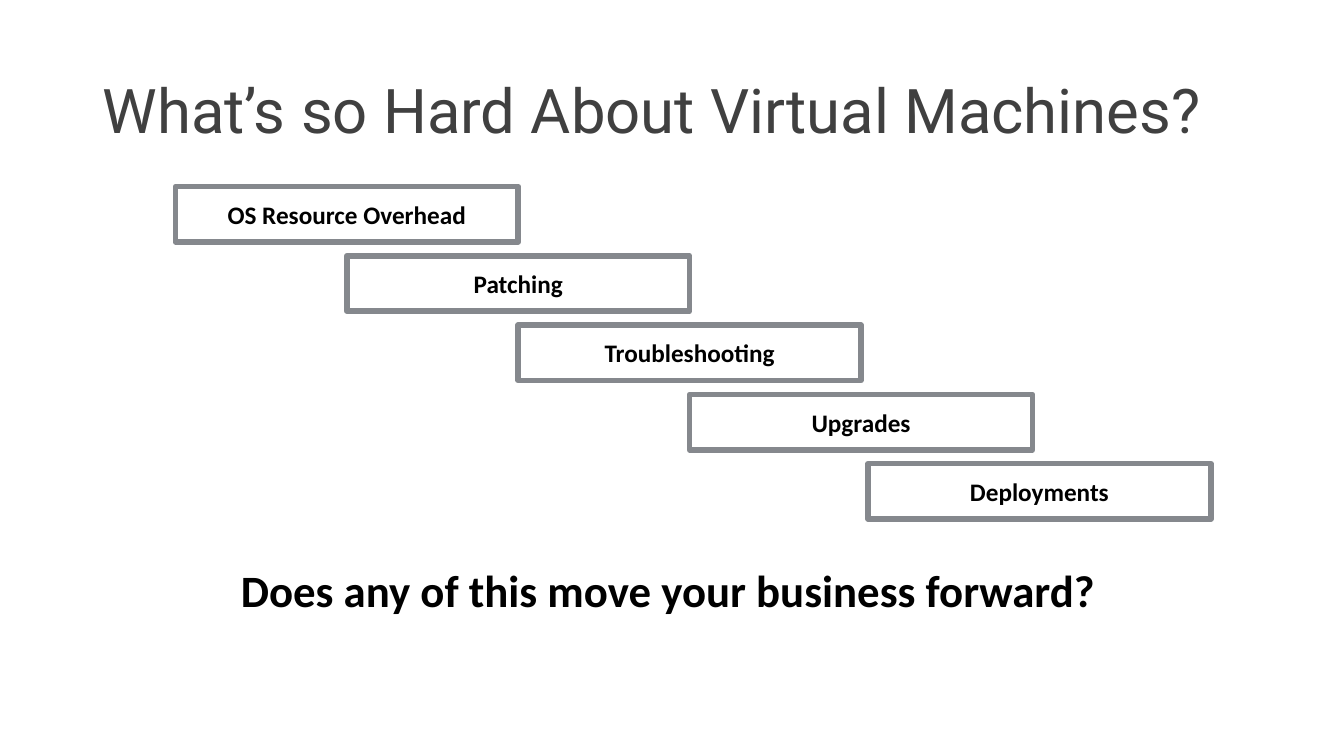
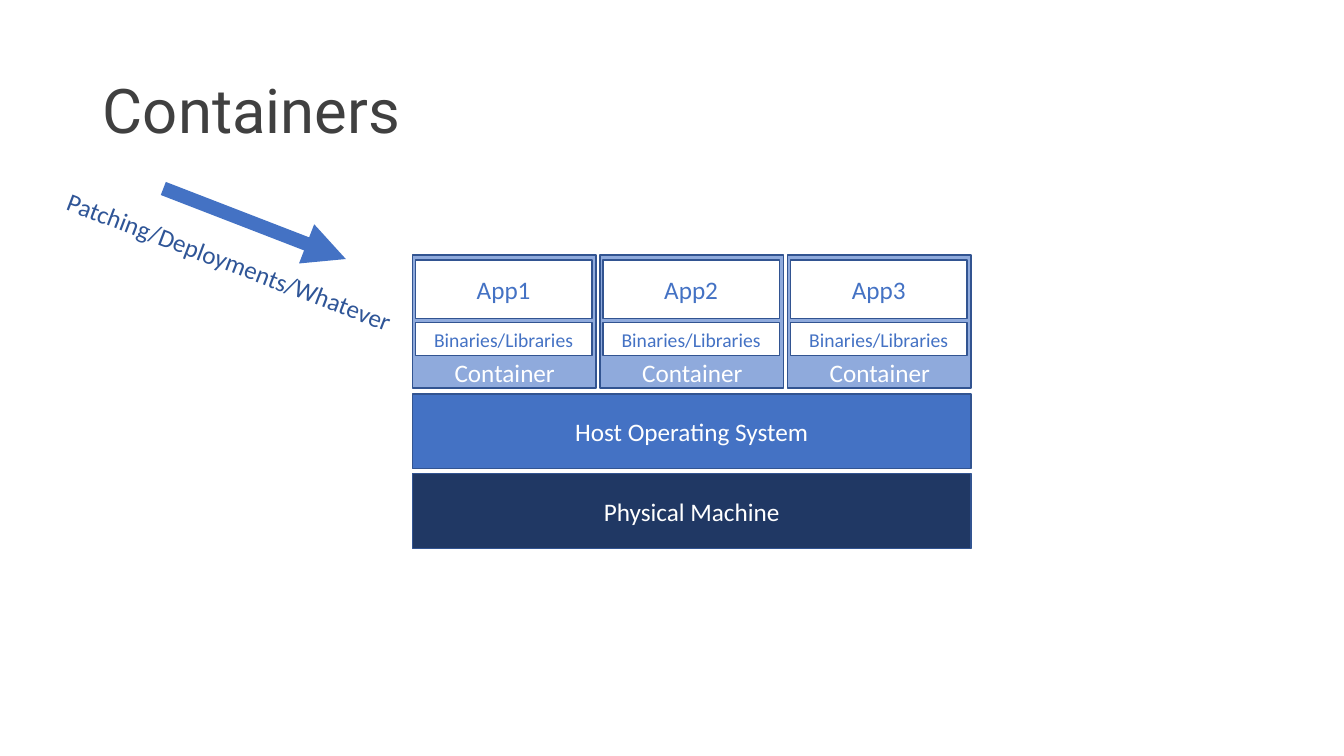
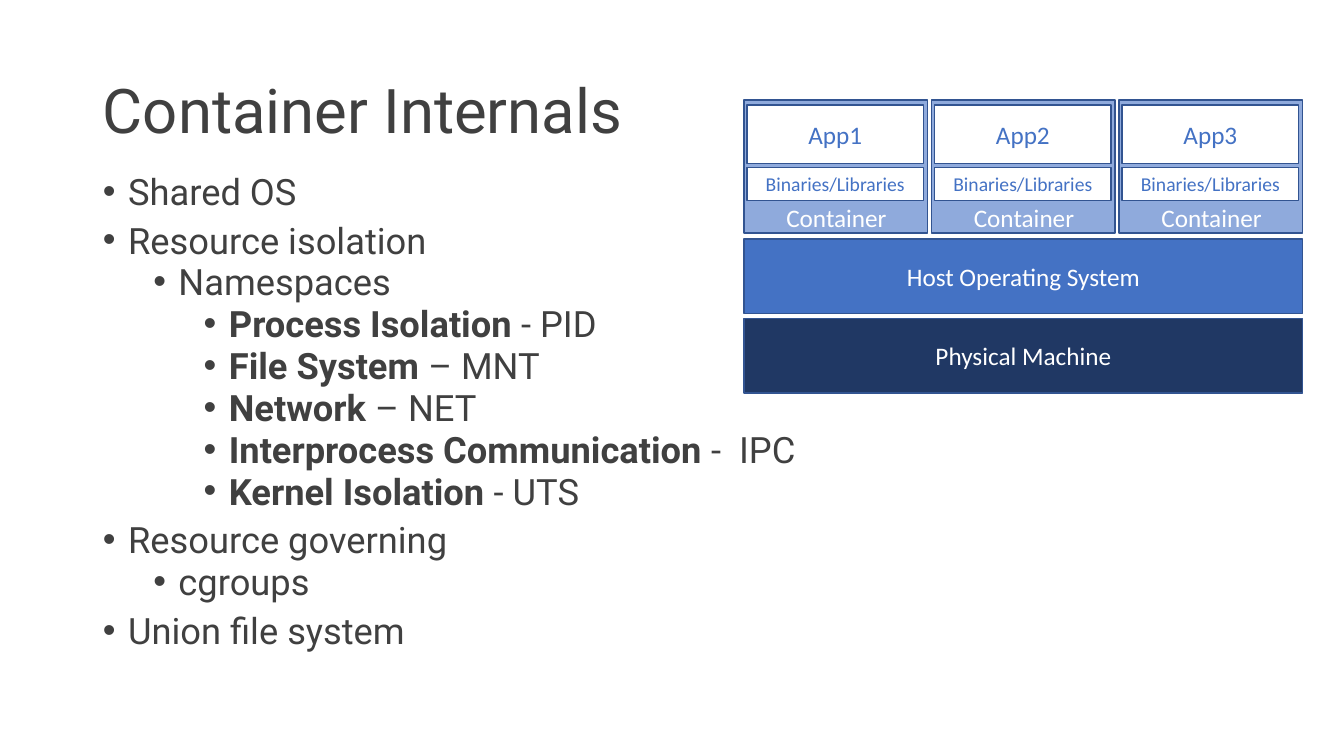
from pptx import Presentation
from pptx.dml.color import RGBColor
from pptx.enum import shapes, text
from pptx.oxml import ns
from pptx.util import Inches, Pt
from lxml import etree

INK = RGBColor(0x40, 0x40, 0x40)
BLACK = RGBColor(0, 0, 0)
WHITE = RGBColor(0xFF, 0xFF, 0xFF)
GREY = RGBColor(0x85, 0x88, 0x8D)
NAVY = RGBColor(0x20, 0x38, 0x64)
BLUE = RGBColor(0x44, 0x72, 0xC4)
LIGHT = RGBColor(0x8F, 0xAA, 0xDC)
EDGE = RGBColor(0x32, 0x54, 0x91)
DEEP = RGBColor(0x2F, 0x55, 0x97)


def box(items, area, words, fill, ink=WHITE, size=18, edge=EDGE, width=1, bold=False):
    rect = items.add_shape(shapes.MSO_SHAPE.RECTANGLE, *map(Inches, area))
    rect.shadow.inherit = False
    if fill is None:
        rect.fill.background()
    else:
        rect.fill.solid()
        rect.fill.fore_color.rgb = fill
    rect.line.color.rgb = edge
    rect.line.width = Pt(width)
    if words:
        frame = rect.text_frame
        frame.text = words
        frame.word_wrap = True
        frame.vertical_anchor = text.MSO_ANCHOR.MIDDLE
        para = frame.paragraphs[0]
        para.alignment = text.PP_ALIGN.CENTER
        font = para.runs[0].font
        font.name, font.size, font.bold = "Calibri", Pt(size), bold
        font.color.rgb = ink


def label(items, area, words, ink, size=18, bold=False):
    note = items.add_textbox(*map(Inches, area))
    frame = note.text_frame
    frame.text = words
    frame.word_wrap = False
    frame.auto_size = text.MSO_AUTO_SIZE.SHAPE_TO_FIT_TEXT
    font = frame.paragraphs[0].runs[0].font
    font.name, font.size, font.bold = "Calibri", Pt(size), bold
    font.color.rgb = ink
    return note


deck = Presentation()
deck.slide_width = Inches(13.33)
deck.slide_height = Inches(7.5)

pages = []
for words, kind in [
    ("What’s so Hard About Virtual Machines?", 5),
    ("Containers", 5),
    ("Container Internals", 1),
]:
    page = deck.slides.add_slide(deck.slide_layouts[kind])
    title = page.shapes.title
    title.left, title.top = Inches(0.92), Inches(0.4)
    title.width, title.height = Inches(11.5), Inches(1.45)
    frame = title.text_frame
    frame.text = words
    frame.auto_size = text.MSO_AUTO_SIZE.NONE
    frame.vertical_anchor = text.MSO_ANCHOR.MIDDLE
    para = frame.paragraphs[0]
    para.alignment = text.PP_ALIGN.LEFT
    para.line_spacing = 0.9
    font = para.runs[0].font
    font.name, font.size = "Roboto", Pt(44)
    font.color.rgb = INK
    pages.append(page)
pains, stack, inner = pages

steps = [
    ("OS Resource Overhead", 1.74),
    ("Patching", 3.44),
    ("Troubleshooting", 5.14),
    ("Upgrades", 6.84),
    ("Deployments", 8.61),
]
for row, (words, left) in enumerate(steps):
    area = (left, 1.85 + row * 2.75 / 4, 3.4, 0.55)
    box(pains.shapes, area, words, None, BLACK, edge=GREY, width=4, bold=True)
label(pains.shapes, (2.29, 5.53, 8.75, 0.64),
      "Does any of this move your business forward?", BLACK, 32, True)

body = inner.placeholders[1]
body.left, body.top = Inches(0.92), Inches(1.71)
body.width, body.height = Inches(11.5), Inches(5.27)
frame = body.text_frame
frame.auto_size = text.MSO_AUTO_SIZE.NONE
points = [
    (0, "", "Shared OS"),
    (0, "", "Resource isolation"),
    (1, "", "Namespaces"),
    (2, "Process Isolation ", "- PID"),
    (2, "File System ", "– MNT"),
    (2, "Network", " – NET"),
    (2, "Interprocess Communication ", "-  IPC"),
    (2, "Kernel Isolation ", "- UTS"),
    (0, "", "Resource governing"),
    (1, "", "cgroups"),
    (0, "", "Union file system"),
]
for spot, (level, strong, plain) in enumerate(points):
    para = frame.add_paragraph() if spot else frame.paragraphs[0]
    para.level = level
    para.line_spacing = 0.8
    para.space_before = Pt(5 if level else 10)
    props = para._p.get_or_add_pPr()
    props.set("marL", str(Inches(0.25 + 0.5 * level)))
    props.set("indent", str(Inches(-0.25)))
    etree.SubElement(props, ns.qn("a:buFont")).set("typeface", "Arial")
    etree.SubElement(props, ns.qn("a:buChar")).set("char", "•")
    for words, bold in [(strong, True), (plain, False)]:
        if words:
            run = para.add_run()
            run.text = words
            run.font.name, run.font.size, run.font.bold = "Roboto", Pt(25.9), bold
            run.font.color.rgb = INK

for page, left, top in [(stack, 4.09, 2.53), (inner, 7.38, 0.99)]:
    box(page.shapes, (left, top + 2.17, 5.54, 0.74), "Physical Machine", NAVY)
    box(page.shapes, (left, top + 1.38, 5.54, 0.74), "Host Operating System", BLUE)
    for col in range(3):
        x = left + 1.86 * col
        unit = page.shapes.add_group_shape().shapes
        box(unit, (x, top, 1.82, 1.32), "", LIGHT)
        box(unit, (x + 0.03, top + 0.05, 1.75, 0.58), f"App{col + 1}", WHITE, BLUE)
        box(unit, (x + 0.03, top + 0.67, 1.75, 0.33), "Binaries/Libraries", WHITE, BLUE, 14)
        label(unit, (x + 0.32, top + 0.97, 1.21, 0.4), "Container", WHITE)

arrow = stack.shapes.add_connector(
    shapes.MSO_CONNECTOR.STRAIGHT, Inches(1.62), Inches(1.87), Inches(3.43), Inches(2.57))
arrow.line.color.rgb = BLUE
arrow.line.width = Pt(10)
etree.SubElement(arrow.line._get_or_add_ln(), ns.qn("a:tailEnd")).set("type", "triangle")
etree.SubElement(arrow._element.spPr, ns.qn("a:effectLst"))
note = label(stack.shapes, (0.47, 2.4, 3.65, 0.4), "Patching/Deployments/Whatever", DEEP)
note.rotation = 20.8

deck.save("out.pptx")
